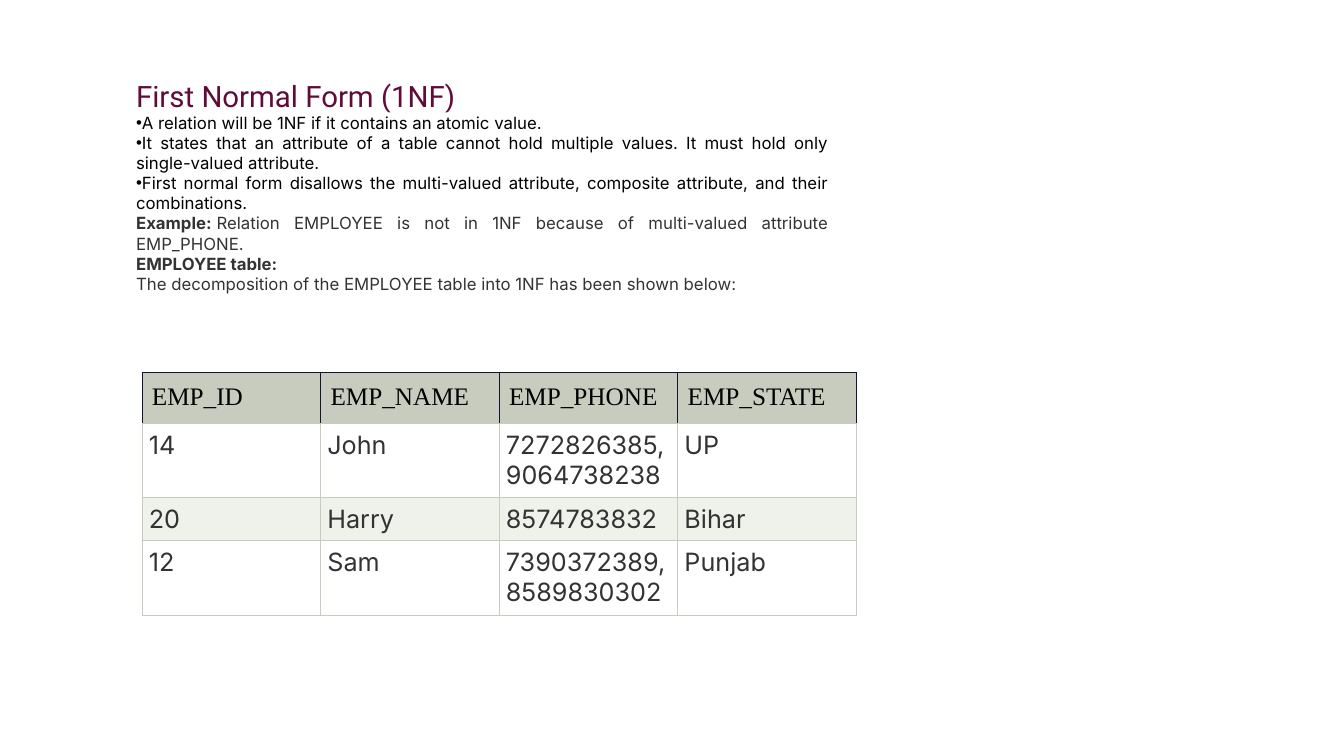
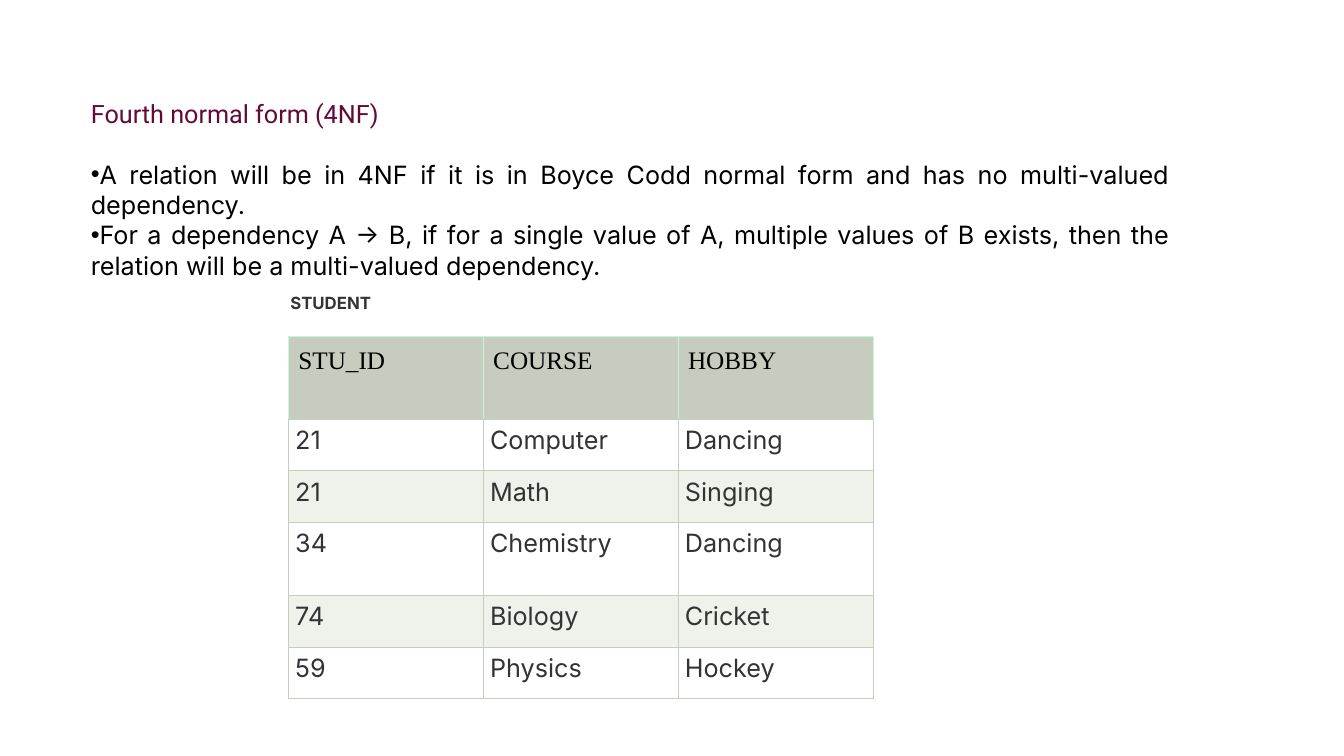
from lxml import etree
from pptx import Presentation
from pptx.dml.color import RGBColor
from pptx.enum import shapes, text
from pptx.oxml.ns import qn
from pptx.util import Cm, Pt

PLUM = RGBColor(0x61, 0x0B, 0x38)
BLACK = RGBColor(0x00, 0x00, 0x00)
CHARCOAL = RGBColor(0x33, 0x33, 0x33)
WHITE = RGBColor(0xFF, 0xFF, 0xFF)
SAGE = RGBColor(0xC7, 0xCC, 0xBE)
PALE_SAGE = RGBColor(0xEF, 0xF1, 0xEB)
NAVY = RGBColor(0x10, 0x16, 0x32)
MINT = RGBColor(0xC0, 0xF9, 0xD5)

TITLE_FONT = "Roboto"
BODY_FONT = "Inter"
HEADER_FONT = "Times New Roman"
BORDER_WIDTH = Pt(0.6)
SIDE_INSET = Cm(0.25)
NO_BREAK_SPACE = chr(160)

FIRST_FORM_RULES = [
    "A relation will be 1NF if it contains an atomic value.",
    "It states that an attribute of a table cannot hold multiple values. "
    "It must hold only single-valued attribute.",
    "First normal form disallows the multi-valued attribute, "
    "composite attribute, and their combinations.",
]
FIRST_FORM_EXAMPLE = [
    ("Example:", NO_BREAK_SPACE + "Relation EMPLOYEE is not in 1NF because of "
                 "multi-valued attribute EMP_PHONE."),
    ("EMPLOYEE table:", ""),
    ("", "The decomposition of the EMPLOYEE table into 1NF "
         "has been shown below:"),
]
FOURTH_FORM_RULES = [
    "A relation will be in 4NF if it is in Boyce Codd normal form "
    "and has no multi-valued dependency.",
    "For a dependency A → B, if for a single value of A, multiple values "
    "of B exists, then the relation will be a multi-valued dependency.",
]
EMPLOYEES = [
    ("EMP_ID", "EMP_NAME", "EMP_PHONE", "EMP_STATE"),
    ("14", "John", "7272826385,\n9064738238", "UP"),
    ("20", "Harry", "8574783832", "Bihar"),
    ("12", "Sam", "7390372389,\n8589830302", "Punjab"),
]
STUDENTS = [
    ("STU_ID", "COURSE", "HOBBY"),
    ("21", "Computer", "Dancing"),
    ("21", "Math", "Singing"),
    ("34", "Chemistry", "Dancing"),
    ("74", "Biology", "Cricket"),
    ("59", "Physics", "Hockey"),
]


def set_font(paragraph, name, size, color, bold=False):
    font = paragraph.font
    font.name, font.size, font.bold = name, Pt(size), bold
    font.color.rgb = color


def set_frame(frame, anchor):
    frame.word_wrap = True
    frame.auto_size = text.MSO_AUTO_SIZE.NONE
    frame.vertical_anchor = anchor
    frame.margin_left = frame.margin_right = SIDE_INSET
    frame.margin_top = frame.margin_bottom = 0


def add_titled_slide(deck, heading, size, left, top, width, height):
    slide = deck.slides.add_slide(deck.slide_layouts[5])
    title = slide.shapes.title
    title.left, title.top, title.width, title.height = left, top, width, height
    set_frame(title.text_frame, text.MSO_ANCHOR.TOP)
    title.text_frame.text = heading
    paragraph = title.text_frame.paragraphs[0]
    paragraph.alignment = text.PP_ALIGN.LEFT
    set_font(paragraph, TITLE_FONT, size, PLUM)
    return slide


def add_panel(slide, *bounds):
    panel = slide.shapes.add_shape(shapes.MSO_SHAPE.RECTANGLE, *bounds)
    panel.shadow.inherit = False
    panel.fill.solid()
    panel.fill.fore_color.rgb = WHITE
    panel.line.fill.background()
    return panel


def add_bullet(paragraph):
    properties = paragraph._p.get_or_add_pPr()
    properties.set("marL", "0")
    properties.set("indent", "0")
    etree.SubElement(properties, qn("a:buFont")).set("typeface", "Arial")
    etree.SubElement(properties, qn("a:buChar")).set("char", "•")


def write_body(holder, size, rules=(), remarks=(), anchor=text.MSO_ANCHOR.TOP):
    frame = holder.text_frame
    set_frame(frame, anchor)
    lines = [("", rule, True) for rule in rules]
    lines += [(lead, rest, False) for lead, rest in remarks]
    for index, (lead, rest, bulleted) in enumerate(lines):
        paragraph = frame.add_paragraph() if index else frame.paragraphs[0]
        paragraph.alignment = text.PP_ALIGN.JUSTIFY
        set_font(paragraph, BODY_FONT, size, BLACK if bulleted else CHARCOAL)
        if bulleted:
            add_bullet(paragraph)
        if lead:
            run = paragraph.add_run()
            run.text = lead
            run.font.bold = True
        if rest:
            paragraph.add_run().text = rest


def set_borders(cell, color, bottom_color):
    properties = cell._tc.get_or_add_tcPr()
    for side in "LRTB":
        line = etree.SubElement(properties, qn(f"a:ln{side}"))
        line.set("w", str(BORDER_WIDTH))
        fill = etree.SubElement(line, qn("a:solidFill"))
        shade = bottom_color if side == "B" else color
        etree.SubElement(fill, qn("a:srgbClr")).set("val", str(shade))


def format_cell(cell, value, row_index, header_border):
    is_header = row_index == 0
    cell.margin_left = cell.margin_right = Cm(0.25) if is_header else Cm(0.17)
    cell.margin_top = cell.margin_bottom = Cm(0.26) if is_header else Cm(0.16)
    set_borders(cell, header_border if is_header else SAGE, SAGE)
    cell.fill.solid()
    paragraph = cell.text_frame.paragraphs[0]
    paragraph.text = value
    if is_header:
        cell.fill.fore_color.rgb = SAGE
        set_font(paragraph, HEADER_FONT, 18, BLACK)
    else:
        cell.fill.fore_color.rgb = WHITE if row_index % 2 else PALE_SAGE
        paragraph.alignment = text.PP_ALIGN.JUSTIFY
        set_font(paragraph, BODY_FONT, 18, CHARCOAL)


def add_records(slide, records, left, top, column_width, row_heights, header_border):
    columns = len(records[0])
    table = slide.shapes.add_table(
        len(records), columns, left, top,
        column_width * columns, sum(row_heights)).table
    table.first_row = table.horz_banding = False
    for column in table.columns:
        column.width = column_width
    for row_index, (record, height) in enumerate(zip(records, row_heights)):
        table.rows[row_index].height = height
        for column_index, value in enumerate(record):
            format_cell(table.cell(row_index, column_index), value,
                        row_index, header_border)


def build_first_form(deck):
    left, width = Cm(3.18), Cm(17.96)
    slide = add_titled_slide(deck, "First Normal Form (1NF)", 21,
                             left, Cm(1.96), width, Cm(0.87))
    panel = add_panel(slide, left, Cm(2.83), width, Cm(4.74))
    write_body(panel, 12, FIRST_FORM_RULES, FIRST_FORM_EXAMPLE)
    heights = [Cm(1.28), Cm(1.87), Cm(1.08), Cm(1.87)]
    add_records(slide, EMPLOYEES, Cm(3.58), Cm(9.39), Cm(4.5), heights, NAVY)


def build_fourth_form(deck):
    left, width = Cm(2.04), Cm(27.69)
    slide = add_titled_slide(deck, "Fourth normal form (4NF)", 18,
                             left, Cm(2.48), width, Cm(0.76))
    rules = slide.shapes.add_textbox(left, Cm(4.01), width, Cm(3.1))
    write_body(rules, 18, FOURTH_FORM_RULES)
    heights = [Cm(2.08), Cm(1.3), Cm(1.3), Cm(1.84), Cm(1.3), Cm(1.3)]
    add_records(slide, STUDENTS, Cm(7.27), Cm(8.48), Cm(4.91), heights, MINT)
    caption = add_panel(slide, Cm(7.07), Cm(7.26), Cm(11.18), Cm(0.76))
    write_body(caption, 12, remarks=[("STUDENT", "")],
               anchor=text.MSO_ANCHOR.MIDDLE)


def main():
    deck = Presentation()
    deck.slide_width, deck.slide_height = Cm(33.87), Cm(19.05)
    build_first_form(deck)
    build_fourth_form(deck)
    deck.save("out.pptx")


if __name__ == "__main__":
    main()
